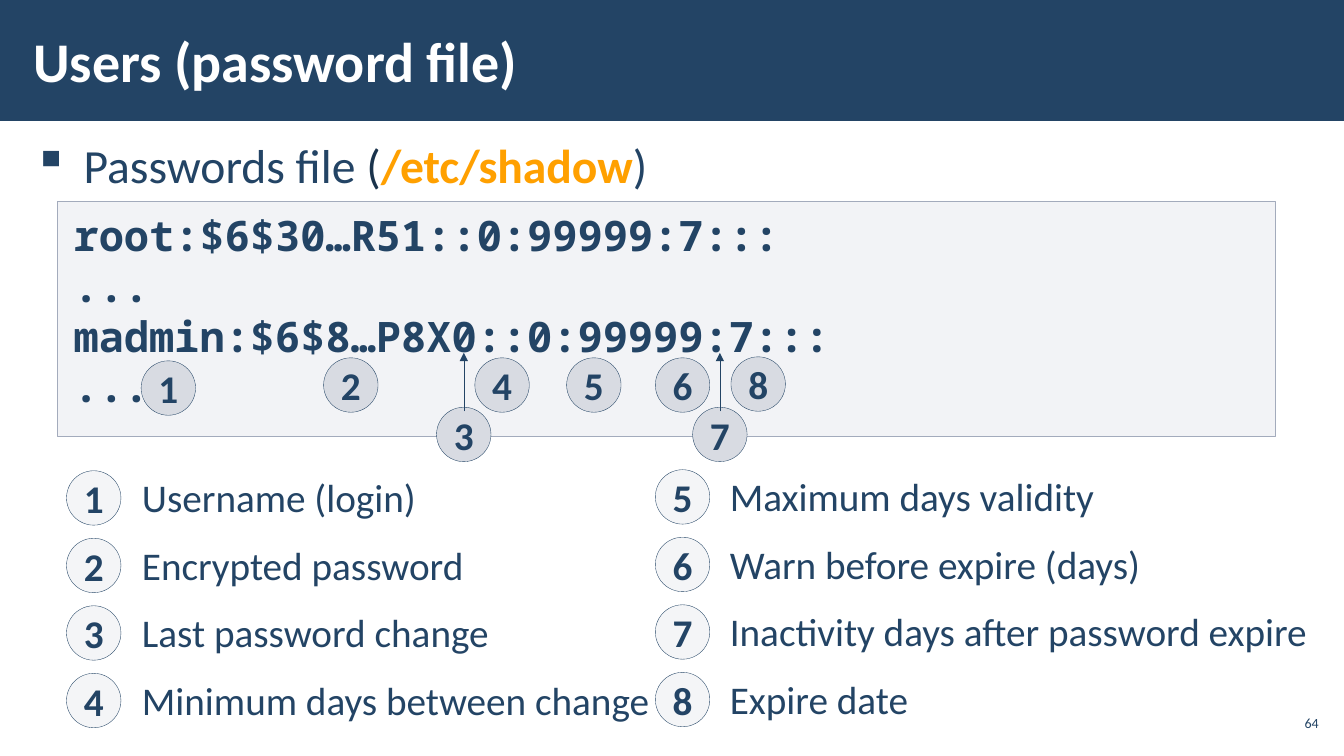
from lxml import etree
from pptx import Presentation
from pptx import util as u
from pptx.dml.color import RGBColor
from pptx.enum import shapes, text
from pptx.oxml import ns

COLORS = {"navy": "234465", "dark": "1A334C", "orange": "FFA000", "white": "FFFFFF",
          "code_fill": "C2C7D2", "code_line": "A3ABBC", "marker": "D8DBE2", "legend": "F4F5F7"}
DIAMETER = 0.54

# Number, left and top of the markers inside the code box
MARKERS = [("1", 1.4, 3.58), ("2", 3.21, 3.55), ("4", 4.71, 3.55),
           ("5", 5.62, 3.55), ("6", 6.5, 3.55), ("8", 7.25, 3.54)]
ARROW_MARKERS = [("3", 4.33), ("7", 6.87)]

# Circle left, label left, first top, then field names with label widths
LEGEND = [
    (0.66, 1.31, 4.67, [("Username (login)", 3.04), ("Encrypted password", 3.43),
                        ("Last password change", 3.68), ("Minimum days between change", 5.29)]),
    (6.5, 7.14, 4.66, [("Maximum days validity", 3.85), ("Warn before expire (days)", 4.31),
                       ("Inactivity days after password expire", 6.09), ("Expire date", 1.99)]),
]
LEGEND_PITCH = 0.67


def rgb(name):
    return RGBColor.from_string(COLORS[name])


def sub(parent, tag, **attrs):
    return etree.SubElement(parent, ns.qn(tag), **attrs)


def write(frame, lines, size, font="Calibri", color="navy", bold=False, align="LEFT",
          anchor="TOP", insets=(0.1, 0.05), wrap=True):
    """Fill a text frame; a line is a string or a list of (text, color, bold) runs."""
    frame.word_wrap = wrap
    frame.vertical_anchor = getattr(text.MSO_ANCHOR, anchor)
    frame.margin_left = frame.margin_right = u.Inches(insets[0])
    frame.margin_top = frame.margin_bottom = u.Inches(insets[1])
    for index, line in enumerate(lines):
        paragraph = frame.add_paragraph() if index else frame.paragraphs[0]
        paragraph.alignment = getattr(text.PP_ALIGN, align)
        runs = [(line, color, bold)] if isinstance(line, str) else line
        for words, run_color, run_bold in runs:
            run = paragraph.add_run()
            run.text = words
            run.font.name, run.font.size, run.font.bold = font, u.Pt(size), run_bold
            run.font.color.rgb = rgb(run_color)


def add_text(slide, at, lines, size, **style):
    box = slide.shapes.add_textbox(*map(u.Inches, at))
    write(box.text_frame, lines, size, **style)
    return box.text_frame


def add_panel(slide, kind, at, fill, line=None, width=0.25):
    panel = slide.shapes.add_shape(kind, *map(u.Inches, at))
    panel.shadow.inherit = False
    panel.fill.solid()
    panel.fill.fore_color.rgb = rgb(fill)
    if line:
        panel.line.color.rgb = rgb(line)
        panel.line.width = u.Pt(width)
    else:
        panel.line.fill.background()
    return panel


def add_number(slide, number, left, top, fill):
    circle = add_panel(slide, shapes.MSO_SHAPE.OVAL, (left, top, DIAMETER, DIAMETER), fill, "navy")
    write(circle.text_frame, [number], 28, bold=True, align="CENTER", anchor="MIDDLE",
          insets=(0, 0), wrap=False)


def add_arrow(slide, x, start, end):
    arrow = slide.shapes.add_connector(shapes.MSO_CONNECTOR.STRAIGHT,
                                       *map(u.Inches, (x, start, x, end)))
    arrow.line.color.rgb = rgb("navy")
    arrow.line.width = u.Pt(0.25)
    sub(arrow.line._get_or_add_ln(), "a:tailEnd", type="triangle")
    sub(arrow._element.spPr, "a:effectLst")


def add_header(slide):
    add_panel(slide, shapes.MSO_SHAPE.RECTANGLE, (0, 0, 13.33, 1.2), "navy")
    add_text(slide, (0.21, 0.11, 10.39, 0.97), ["Users (password file)"], 40, color="white",
             bold=True, anchor="MIDDLE", insets=(0.12, 0.04))


def add_bullet(slide):
    runs = [("Passwords file ", "navy", False), ("(", "dark", False),
            ("/etc/shadow", "orange", True), (")", "navy", False)]
    frame = add_text(slide, (0.21, 1.31, 12.92, 0.69), [runs], 34, insets=(0.12, 0.04))
    properties = frame.paragraphs[0]._p.get_or_add_pPr()
    properties.set("marL", str(u.Inches(0.5)))
    properties.set("indent", str(-u.Inches(0.5)))
    sub(properties, "a:buChar", char="▪")


def add_code(slide):
    box = add_panel(slide, shapes.MSO_SHAPE.RECTANGLE, (0.57, 2, 12.08, 2.33),
                    "code_fill", "code_line", 1)
    fill_color = box._element.spPr.find(ns.qn("a:solidFill"))[0]
    sub(fill_color, "a:alpha", val="20000")
    write(box.text_frame, ["root:$6$30…R51::0:99999:7:::", "...",
                           "madmin:$6$8…P8X0::0:99999:7:::", "..."],
          30, font="Noto Sans Mono", bold=True, insets=(0.16, 0.08))


def add_markers(slide):
    for number, left, top in MARKERS:
        add_number(slide, number, left, top, "marker")
    for number, left in ARROW_MARKERS:
        add_number(slide, number, left, 4.04, "marker")
        add_arrow(slide, left + DIAMETER / 2, 4.08, 3.5)


def add_legend(slide):
    number = 0
    for circle_left, label_left, first_top, fields in LEGEND:
        for row, (field, width) in enumerate(fields):
            number += 1
            top = first_top + row * LEGEND_PITCH
            add_number(slide, str(number), circle_left, top, "legend")
            add_text(slide, (label_left, top - 0.02, width, 0.57), [field], 28, wrap=False)


def main():
    deck = Presentation()
    deck.slide_width, deck.slide_height = u.Inches(13.33), u.Inches(7.5)
    slide = deck.slides.add_slide(deck.slide_layouts[6])
    add_header(slide)
    add_bullet(slide)
    add_code(slide)
    add_markers(slide)
    add_legend(slide)
    # Slide number
    add_text(slide, (12.65, 7, 0.47, 0.34), ["64"], 10, align="RIGHT", anchor="MIDDLE",
             insets=(0.04, 0.04))
    deck.save("out.pptx")


if __name__ == "__main__":
    main()
